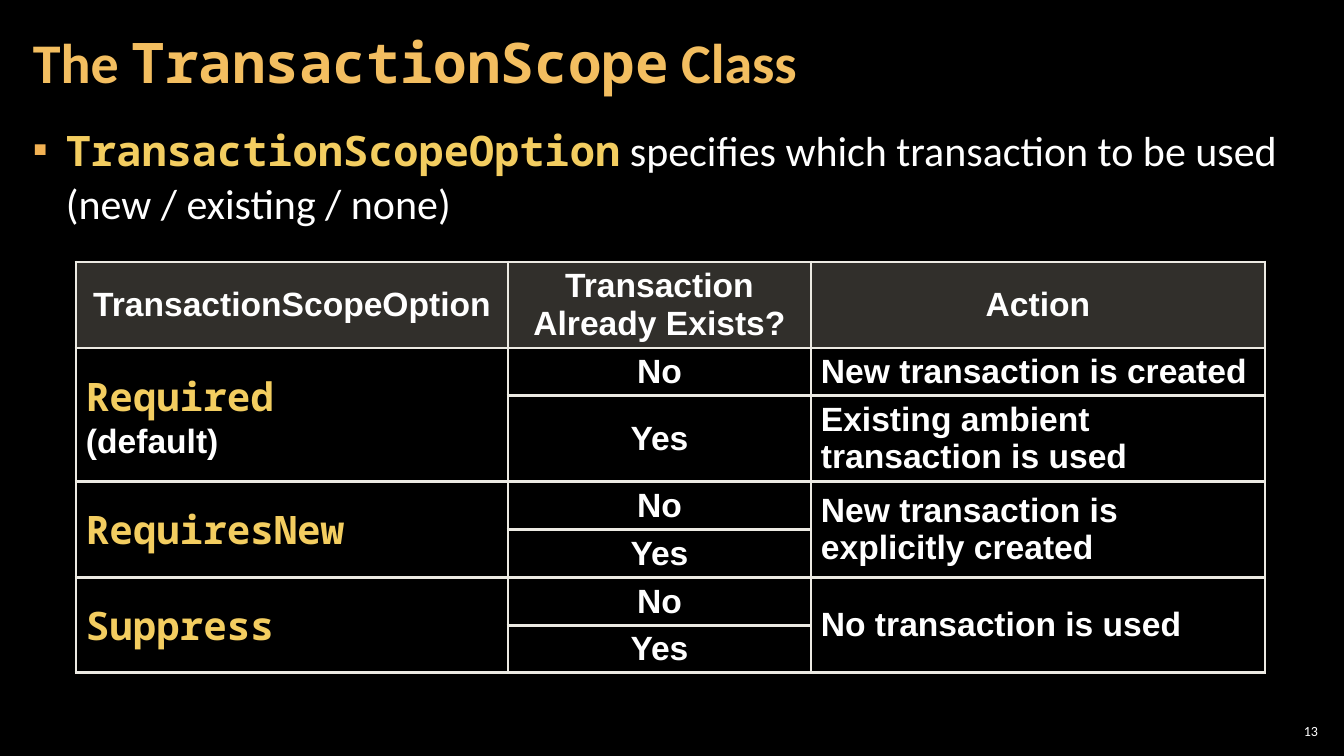
from lxml.etree import SubElement
from pptx import Presentation
from pptx.dml.color import RGBColor
from pptx.enum.text import MSO_ANCHOR, MSO_AUTO_SIZE, PP_ALIGN
from pptx.oxml import parse_xml
from pptx.oxml.ns import nsdecls, qn
from pptx.util import Pt

PX = 914400 / 100.8
COLORS = {
    "background": "000000",
    "title": "F3BE60",
    "code": "F3CD60",
    "text": "FFFFFF",
    "bullet": "F2B254",
    "border": "ECEAE3",
    "header": "C7BFAC",
}
SANS, MONO, TABLE_FONT = "Calibri", "Noto Sans Mono", "Arial"


def px(length):
    return round(length * PX)


def set_all(target, **values):
    for name, value in values.items():
        setattr(target, name, value)


def place(shape, box):
    set_all(shape, **dict(zip(("left", "top", "width", "height"), map(px, box))))


def format_frame(frame, margin_x, margin_y, anchor):
    set_all(frame, word_wrap=True, auto_size=MSO_AUTO_SIZE.NONE, vertical_anchor=anchor,
            margin_left=px(margin_x), margin_right=px(margin_x),
            margin_top=px(margin_y), margin_bottom=px(margin_y))


def add_run(paragraph, text, size, name, color, bold=False):
    run = paragraph.add_run()
    run.text = text
    set_all(run.font, size=Pt(size), name=name, bold=bold)
    run.font.color.rgb = RGBColor.from_string(COLORS[color])


def add_title(slide, box):
    title = slide.shapes.title
    place(title, box)
    format_frame(title.text_frame, 12, 4, MSO_ANCHOR.MIDDLE)
    heading = title.text_frame.paragraphs[0]
    set_all(heading, alignment=PP_ALIGN.LEFT, line_spacing=0.9)
    for text, name in (("The ", SANS), ("TransactionScope", MONO), (" Class", SANS)):
        add_run(heading, text, 40, name, "title", True)


def add_statement(slide, box):
    frame = slide.shapes.add_textbox(*map(px, box)).text_frame
    format_frame(frame, 12, 4, MSO_ANCHOR.TOP)
    statement = frame.paragraphs[0]
    set_all(statement, line_spacing=1.05, space_after=Pt(6))

    # Hanging square bullet
    properties = statement._p.get_or_add_pPr()
    properties.set("marL", str(px(33)))
    properties.set("indent", str(px(-33)))
    bullet_color = SubElement(properties, qn("a:buClr"))
    SubElement(bullet_color, qn("a:srgbClr"), val=COLORS["bullet"])
    SubElement(properties, qn("a:buFont"), typeface=SANS)
    SubElement(properties, qn("a:buChar"), char="▪")

    add_run(statement, "TransactionScopeOption", 30, MONO, "code", True)
    add_run(statement, " specifies which transaction to be used (new / existing / none)",
            30, SANS, "text")


def add_borders(cell):
    properties = cell._tc.get_or_add_tcPr()
    for position, side in enumerate("LRTB"):
        properties.insert(position, parse_xml(
            f'<a:ln{side} {nsdecls("a")} w="{Pt(2.25)}"><a:solidFill>'
            f'<a:srgbClr val="{COLORS["border"]}"/></a:solidFill></a:ln{side}>'))


def fill_header(cell):
    cell.fill.solid()
    cell.fill.fore_color.rgb = RGBColor.from_string(COLORS["header"])
    color = cell._tc.tcPr.find(".//" + qn("a:srgbClr"))
    SubElement(color, qn("a:alpha"), val="25000")


def write_cell(cell, lines, alignment):
    for index, line in enumerate(lines):
        paragraph = cell.text_frame.paragraphs[0] if index == 0 else cell.text_frame.add_paragraph()
        paragraph.alignment = alignment
        if line in ("Required", "RequiresNew", "Suppress"):
            add_run(paragraph, line, 28, MONO, "code", True)
        else:
            add_run(paragraph, line, 24, TABLE_FONT, "text", True)


def add_options_table(slide, box):
    # None continues the cell above
    rows = [
        (["TransactionScopeOption"], ["Transaction Already Exists?"], ["Action"]),
        (["Required", "(default)"], ["No"], ["New transaction is created"]),
        (None, ["Yes"], ["Existing ambient transaction is used"]),
        (["RequiresNew"], ["No"], ["New transaction is explicitly created"]),
        (None, ["Yes"], None),
        (["Suppress"], ["No"], ["No transaction is used"]),
        (None, ["Yes"], None),
    ]
    widths = (432, 303, 454)
    heights = (86, 47, 86, 48, 48, 48, 47)
    table = slide.shapes.add_table(len(rows), len(widths), *map(px, box)).table
    set_all(table, first_row=False, horz_banding=False)
    for column, width in zip(table.columns, widths):
        column.width = px(width)
    for row, height in zip(table.rows, heights):
        row.height = px(height)

    for r, row in enumerate(rows):
        for c, lines in enumerate(row):
            cell = table.cell(r, c)
            set_all(cell, vertical_anchor=MSO_ANCHOR.MIDDLE,
                    margin_left=px(10), margin_right=px(10),
                    margin_top=px(5), margin_bottom=px(5))
            if r == 0:
                fill_header(cell)
            else:
                cell.fill.background()
            add_borders(cell)
            if lines is None:
                table.cell(r - 1, c).merge(cell)
            else:
                centered = r == 0 or c == 1
                write_cell(cell, lines, PP_ALIGN.CENTER if centered else PP_ALIGN.LEFT)


def add_page_number(slide, box):
    frame = slide.shapes.add_textbox(*map(px, box)).text_frame
    format_frame(frame, 4, 4, MSO_ANCHOR.MIDDLE)
    number = frame.paragraphs[0]
    number.alignment = PP_ALIGN.RIGHT
    add_run(number, "13", 10, SANS, "text")


def main():
    presentation = Presentation()
    set_all(presentation, slide_width=px(1344), slide_height=px(756))
    slide = presentation.slides.add_slide(presentation.slide_layouts[5])
    slide.background.fill.solid()
    slide.background.fill.fore_color.rgb = RGBColor.from_string(COLORS["background"])

    add_title(slide, (21, 4, 1055, 122))
    add_statement(slide, (21, 118, 1301, 130))
    add_options_table(slide, (76, 262, 1189, 410))
    add_page_number(slide, (1275, 720, 47, 21))
    presentation.save("out.pptx")


if __name__ == "__main__":
    main()
